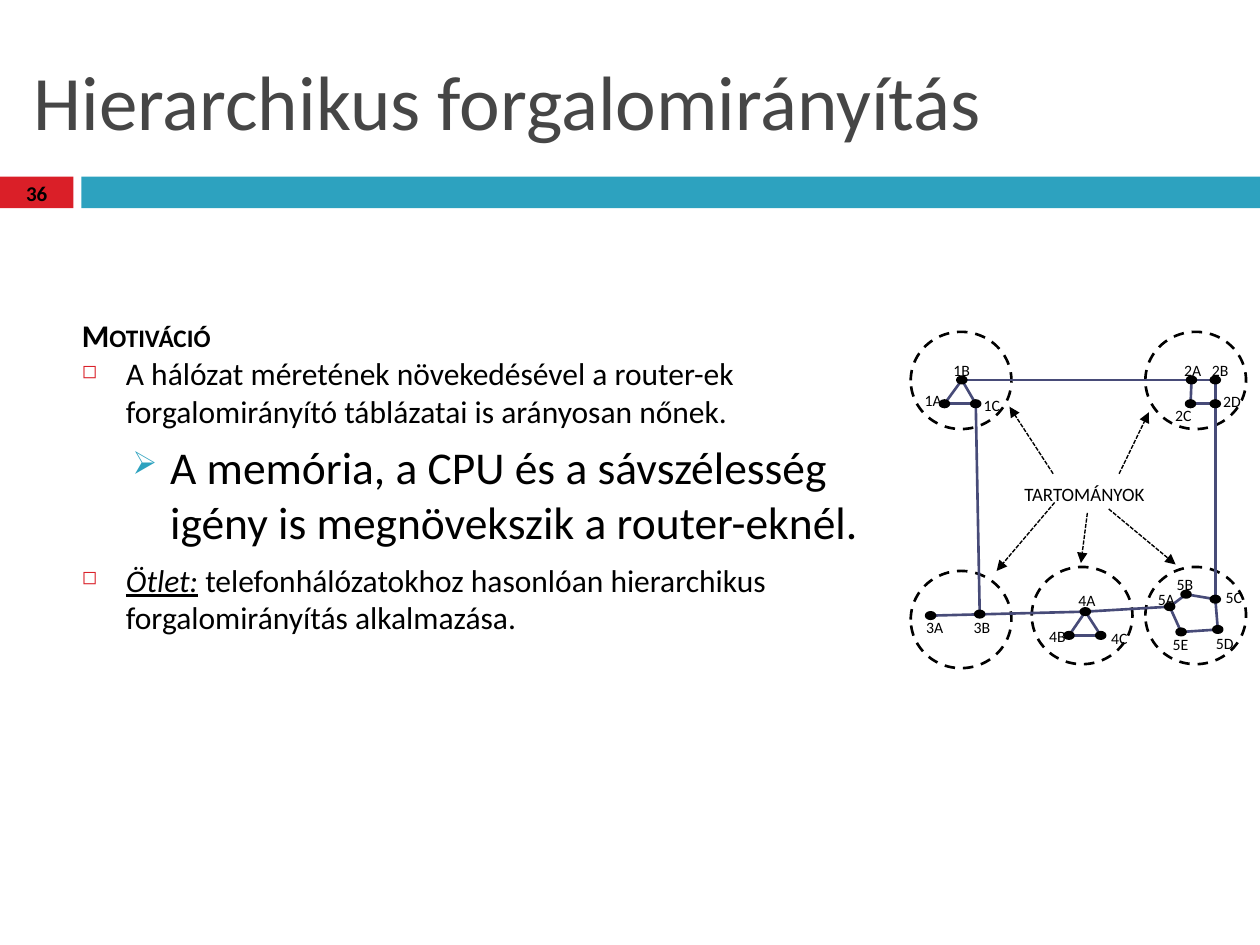
from typing import NamedTuple, Optional

from lxml.etree import SubElement
from pptx import Presentation
from pptx.dml.color import RGBColor
from pptx.enum.dml import MSO_LINE
from pptx.enum.shapes import MSO_CONNECTOR, MSO_SHAPE
from pptx.enum.text import MSO_ANCHOR, MSO_AUTO_SIZE, PP_ALIGN
from pptx.oxml.ns import qn
from pptx.util import Cm, Pt

BLACK = RGBColor(0x00, 0x00, 0x00)
GREY = RGBColor(0x46, 0x46, 0x46)
RED = RGBColor(0xDA, 0x1F, 0x28)
TEAL = RGBColor(0x2D, 0xA2, 0xBF)
INDIGO = RGBColor(0x47, 0x4B, 0x78)


class Bullet(NamedTuple):
    """A bullet: sign, colour, size in percent, text indent and hang in cm."""
    sign: str
    color: RGBColor
    percent: int
    indent: float
    hang: float


class Router(NamedTuple):
    """A router: centre of its dot and top left of its label, in cm."""
    x: float
    y: float
    label_x: float
    label_y: float


class Arrow(NamedTuple):
    """An arrow from one point to another, in cm."""
    x1: float
    y1: float
    x2: float
    y2: float


SQUARE = Bullet("◻", RED, 60, 0.89, 0.89)
POINTER = Bullet("➢", TEAL, 70, 1.78, 0.76)

DOT_W, DOT_H = 0.18, 0.13
REGION_W, REGION_H = 2.03, 1.96
REGIONS = [(18.36, 6.69), (23.09, 6.69), (18.36, 11.51), (20.8, 11.43), (23.09, 11.43)]
ROUTERS = {
    "1A": Router(19.04, 8.14, 18.39, 7.75),
    "1B": Router(19.39, 7.66, 18.97, 7.14),
    "1C": Router(19.67, 8.14, 19.58, 7.85),
    "2A": Router(24.02, 7.66, 23.62, 7.14),
    "2B": Router(24.5, 7.66, 24.18, 7.14),
    "2C": Router(24.0, 8.14, 23.44, 8.05),
    "2D": Router(24.5, 8.14, 24.41, 7.77),
    "3A": Router(18.76, 12.41, 18.42, 12.32),
    "3B": Router(19.75, 12.38, 19.38, 12.32),
    "4A": Router(21.88, 12.33, 21.49, 11.79),
    "4B": Router(21.55, 12.81, 20.9, 12.52),
    "4C": Router(22.19, 12.81, 22.15, 12.55),
    "5A": Router(23.58, 12.23, 23.09, 11.76),
    "5B": Router(23.91, 11.98, 23.47, 11.46),
    "5C": Router(24.5, 12.08, 24.46, 11.73),
    "5D": Router(24.55, 12.69, 24.26, 12.65),
    "5E": Router(23.81, 12.74, 23.39, 12.67),
}
LINKS = ("1B-2B 1B-1A 1B-1C 1A-1C 4A-4B 4A-4C 4B-4C 2A-2C 2B-2D 2C-2D 2D-5C "
         "4A-3A 1C-3B 5B-5C 5B-5A 5A-5E 5E-5D 5C-5D 4A-5A").split()
REGION_ARROWS = [
    Arrow(21.26, 10.13, 20.09, 11.51),
    Arrow(21.92, 10.34, 21.79, 11.35),
    Arrow(22.35, 10.26, 23.7, 11.38),
    Arrow(21.23, 9.55, 20.35, 8.2),
    Arrow(22.56, 9.55, 23.16, 8.31),
]


def write(paragraph, text: str, *, size: float, color: RGBColor = BLACK,
          bold: bool = False, italic: bool = False, underline: bool = False,
          small_caps: bool = False) -> None:
    """Append a formatted run to a paragraph."""
    run = paragraph.add_run()
    run.text = text
    font = run.font
    font.name, font.size, font.color.rgb = "Calibri", Pt(size), color
    font.bold, font.italic, font.underline = bold, italic, underline
    if small_caps:
        font._element.set("cap", "small")


def add_frame(x: float, y: float, w: float, h: float, *, wrap: bool = True,
              anchor: MSO_ANCHOR = MSO_ANCHOR.TOP):
    """Add a text box and return its text frame."""
    frame = slide.shapes.add_textbox(Cm(x), Cm(y), Cm(w), Cm(h)).text_frame
    frame.word_wrap, frame.vertical_anchor = wrap, anchor
    frame.auto_size = MSO_AUTO_SIZE.NONE if wrap else MSO_AUTO_SIZE.SHAPE_TO_FIT_TEXT
    return frame


def format_paragraph(paragraph, before: float = 0, bullet: Optional[Bullet] = None):
    """Set the space above a paragraph and its bullet, and return it."""
    paragraph.space_before = Pt(before)
    if bullet:
        props = paragraph._p.get_or_add_pPr()
        props.set("marL", str(Cm(bullet.indent)))
        props.set("indent", str(-Cm(bullet.hang)))
        color = SubElement(props, qn("a:buClr"))
        SubElement(color, qn("a:srgbClr"), val=str(bullet.color))
        SubElement(props, qn("a:buSzPct"), val=str(bullet.percent * 1000))
        SubElement(props, qn("a:buChar"), char=bullet.sign)
    return paragraph


def add_shape(kind: MSO_SHAPE, x: float, y: float, w: float, h: float, *,
              fill: Optional[RGBColor] = None, line: Optional[RGBColor] = None,
              dash: Optional[MSO_LINE] = None) -> None:
    """Add a preset shape without shadow."""
    shape = slide.shapes.add_shape(kind, Cm(x), Cm(y), Cm(w), Cm(h))
    shape.shadow.inherit = False
    if fill is None:
        shape.fill.background()
    else:
        shape.fill.solid()
        shape.fill.fore_color.rgb = fill
    if line is None:
        shape.line.fill.background()
    else:
        shape.line.color.rgb, shape.line.width = line, Pt(1.5)
        shape.line.dash_style = dash


def add_line(x1: float, y1: float, x2: float, y2: float, *, color: RGBColor,
             width: float, arrow: bool = False) -> None:
    """Add a straight line, or a dashed arrow."""
    line = slide.shapes.add_connector(MSO_CONNECTOR.STRAIGHT, Cm(x1), Cm(y1), Cm(x2), Cm(y2))
    line.line.color.rgb, line.line.width = color, Pt(width)
    if arrow:
        line.line.dash_style = MSO_LINE.SQUARE_DOT
        SubElement(line.line._get_or_add_ln(), qn("a:tailEnd"), type="triangle")
    SubElement(line._element.spPr, qn("a:effectLst"))


presentation = Presentation()
presentation.slide_width, presentation.slide_height = Cm(25.4), Cm(19.05)
slide = presentation.slides.add_slide(presentation.slide_layouts[6])

add_shape(MSO_SHAPE.RECTANGLE, 0, 3.56, 1.48, 0.64, fill=RED)
add_shape(MSO_SHAPE.RECTANGLE, 1.64, 3.56, 23.76, 0.64, fill=TEAL)

title = add_frame(0.43, 0.64, 24.56, 2.74, anchor=MSO_ANCHOR.MIDDLE)
write(title.paragraphs[0], "Hierarchikus forgalomirányítás", size=44, color=GREY)

body = add_frame(1.4, 6.25, 16.46, 9.55)
motivation = format_paragraph(body.paragraphs[0], before=7)
write(motivation, "Motiváció", size=18, bold=True, small_caps=True)
growth = format_paragraph(body.add_paragraph(), bullet=SQUARE)
write(growth, "A hálózat méretének növekedésével a router-ek forgalomirányító "
      "táblázatai is arányosan nőnek.", size=18)
demand = format_paragraph(body.add_paragraph(), before=5.5, bullet=POINTER)
demand.level = 1
write(demand, "A memória, a CPU és a sávszélesség igény is megnövekszik a router-eknél.", size=26)
idea = format_paragraph(body.add_paragraph(), before=7, bullet=SQUARE)
write(idea, "Ötlet:", size=18, italic=True, underline=True)
write(idea, " telefonhálózatokhoz hasonlóan hierarchikus forgalomirányítás alkalmazása.", size=18)

for left, top in REGIONS:
    add_shape(MSO_SHAPE.OVAL, left, top, REGION_W, REGION_H, line=BLACK, dash=MSO_LINE.DASH)
for link in LINKS:
    start, end = (ROUTERS[name] for name in link.split("-"))
    add_line(start.x, start.y, end.x, end.y, color=INDIGO, width=1.5)
for name, router in ROUTERS.items():
    add_shape(MSO_SHAPE.OVAL, router.x - DOT_W / 2, router.y - DOT_H / 2, DOT_W, DOT_H,
              fill=BLACK, line=BLACK)
    label = add_frame(router.label_x, router.label_y, 0.88, 0.64, wrap=False)
    write(label.paragraphs[0], name, size=9)

regions_label = add_frame(20.4, 9.5, 3.05, 0.84, wrap=False)
write(regions_label.paragraphs[0], "tartományok", size=13.5, small_caps=True)
for region_arrow in REGION_ARROWS:
    add_line(*region_arrow, color=BLACK, width=0.79, arrow=True)

page = add_frame(0, 3.48, 1.48, 0.84, anchor=MSO_ANCHOR.MIDDLE)
page.margin_left = page.margin_right = Cm(0.18)
page.margin_top = page.margin_bottom = Cm(0.1)
page.paragraphs[0].alignment = PP_ALIGN.CENTER
write(page.paragraphs[0], "36", size=12, bold=True)

presentation.save("out.pptx")
